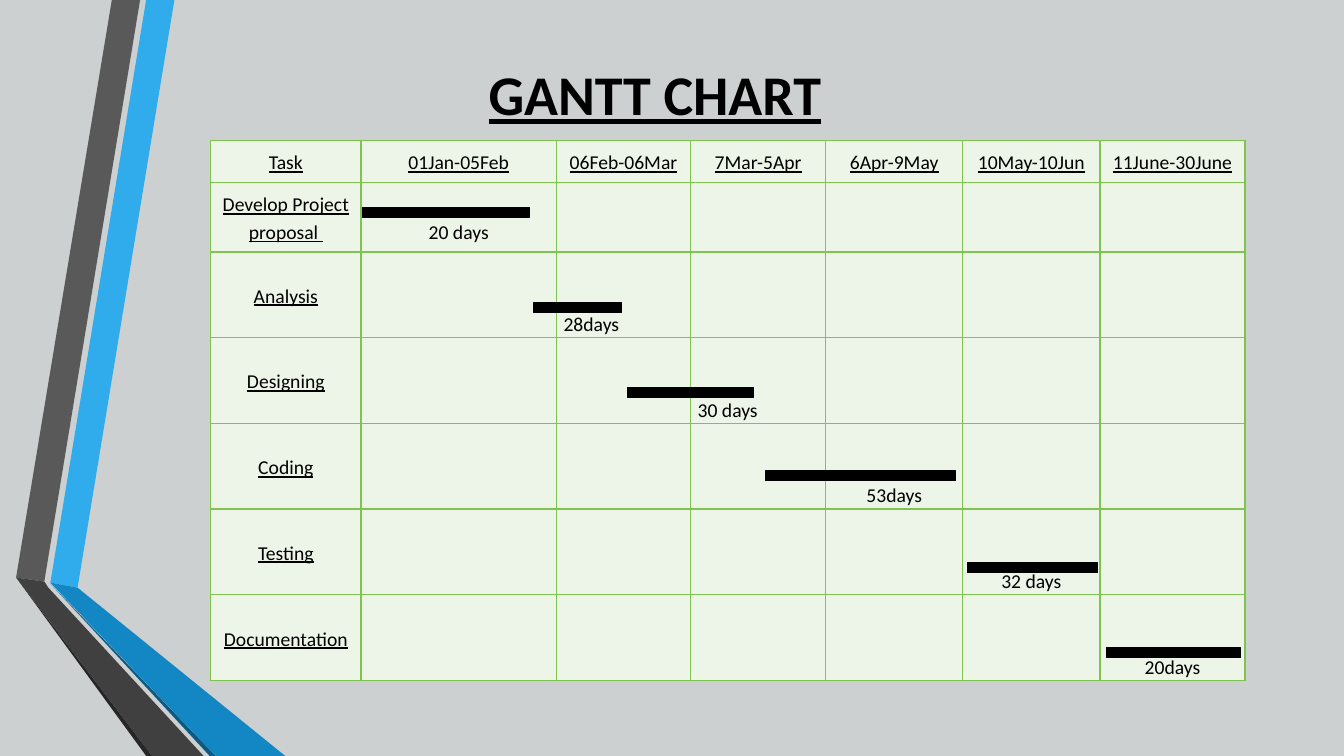
"""Build the Gantt chart slide with its project schedule."""
from dataclasses import dataclass

from lxml.etree import SubElement
from pptx import Presentation
from pptx.dml.color import RGBColor
from pptx.enum.text import MSO_ANCHOR, PP_ALIGN
from pptx.oxml.ns import qn
from pptx.slide import Slide
from pptx.table import _Cell
from pptx.util import Pt

PX = 9144
FONT = "Calibri"
BACKGROUND = RGBColor(0xCD, 0xD0, 0xD1)
BLACK = RGBColor(0x00, 0x00, 0x00)
CELL_GREEN = RGBColor(0xED, 0xF5, 0xE9)
GRID_GREEN = RGBColor(0x80, 0xC3, 0x4F)
SKY = RGBColor(0x30, 0xAC, 0xEC)
BLUE = RGBColor(0x12, 0x87, 0xC3)
NAVY = RGBColor(0x0C, 0x5A, 0x82)
GREY = RGBColor(0x59, 0x59, 0x59)
DARK_GREY = RGBColor(0x40, 0x40, 0x40)
CHARCOAL = RGBColor(0x26, 0x26, 0x26)


@dataclass(frozen=True)
class Ribbon:
    """A coloured outline at the left edge, in px."""
    color: RGBColor
    points: tuple[tuple[int, int], ...]


@dataclass(frozen=True)
class Task:
    """A schedule row: its duration label and its bar, in px."""
    name: str
    duration: str
    column: int
    bar_left: int
    bar_top: int
    bar_width: int
    align: PP_ALIGN = PP_ALIGN.CENTER
    label_gap: int = 1


RIBBONS = (
    Ribbon(SKY, ((50, 578), (77, 583), (173, 0), (145, 0))),
    Ribbon(GREY, ((139, 0), (111, 0), (16, 573), (44, 577))),
    Ribbon(CHARCOAL, ((16, 573), (145, 750), (151, 750))),
    Ribbon(NAVY, ((50, 579), (208, 750), (214, 750))),
    Ribbon(BLUE, ((50, 578), (214, 750), (283, 750), (77, 583))),
    Ribbon(DARK_GREY, ((202, 750), (48, 583), (44, 577), (16, 573), (151, 750))),
)
HEADINGS = ("Task", "01Jan-05Feb", "06Feb-06Mar", "7Mar-5Apr", "6Apr-9May",
            "10May-10Jun", "11June-30June")
TASKS = (
    Task("Develop Project proposal ", "20 days", 1, 360, 206, 165, label_gap=7),
    Task("Analysis", "28days", 2, 529, 300, 87, PP_ALIGN.LEFT),
    Task("Designing", "30 days", 3, 622, 384, 125, PP_ALIGN.LEFT),
    Task("Coding", "53days", 4, 759, 467, 189),
    Task("Testing", "32 days", 5, 960, 558, 129),
    Task("Documentation", "20days", 6, 1097, 642, 133),
)
COLUMN_WIDTHS = (149, 194, 133, 134, 136, 136, 144)
ROW_HEIGHTS = (42, 69) + (85,) * 5
BAR_HEIGHT = 10


def draw_ribbon(slide: Slide, ribbon: Ribbon) -> None:
    """Draw one ribbon segment."""
    start, *rest = ribbon.points
    outline = slide.shapes.build_freeform(*start, scale=PX)
    outline.add_line_segments(rest, close=True)
    segment = outline.convert_to_shape()
    segment.shadow.inherit = False
    segment.fill.solid()
    segment.fill.fore_color.rgb = ribbon.color
    segment.line.fill.background()


def style_cell(cell: _Cell) -> None:
    """Give a cell its grid lines, fill and margins."""
    properties = cell._tc.get_or_add_tcPr()
    for edge in ("a:lnL", "a:lnR", "a:lnT", "a:lnB"):
        border = SubElement(properties, qn(edge), w=str(Pt(1)))
        fill = SubElement(border, qn("a:solidFill"))
        SubElement(fill, qn("a:srgbClr"), val=str(GRID_GREEN))
    cell.fill.solid()
    cell.fill.fore_color.rgb = CELL_GREEN
    cell.margin_left = cell.margin_right = 7 * PX
    cell.margin_top = cell.margin_bottom = 0
    cell.vertical_anchor = MSO_ANCHOR.MIDDLE


def write_cell(cell: _Cell, text: str, underline: bool,
               align: PP_ALIGN = PP_ALIGN.CENTER) -> None:
    """Write one line of schedule text in a cell."""
    paragraph = cell.text_frame.paragraphs[0]
    paragraph.alignment = align
    paragraph.line_spacing = 1.15
    run = paragraph.add_run()
    run.text = text
    run.font.name = FONT
    run.font.size = Pt(14)
    run.font.underline = underline
    run.font.color.rgb = BLACK


def add_schedule(slide: Slide) -> None:
    """Add the table of tasks and periods."""
    schedule = slide.shapes.add_table(
        len(ROW_HEIGHTS), len(COLUMN_WIDTHS), 209 * PX, 139 * PX,
        sum(COLUMN_WIDTHS) * PX, sum(ROW_HEIGHTS) * PX).table
    schedule.first_row = schedule.horz_banding = False
    for column, width in zip(schedule.columns, COLUMN_WIDTHS):
        column.width = width * PX
    for row, height in zip(schedule.rows, ROW_HEIGHTS):
        row.height = height * PX
    for cell in schedule.iter_cells():
        style_cell(cell)
    for index, heading in enumerate(HEADINGS):
        write_cell(schedule.cell(0, index), heading, True)
    for index, task in enumerate(TASKS, start=1):
        write_cell(schedule.cell(index, 0), task.name, True)
        duration = schedule.cell(index, task.column)
        duration.vertical_anchor = MSO_ANCHOR.BOTTOM
        duration.margin_bottom = task.label_gap * PX
        write_cell(duration, task.duration, False, task.align)


def draw_bar(slide: Slide, task: Task) -> None:
    """Draw the bar that spans a task's days."""
    bar = slide.shapes.add_shape(
        1, task.bar_left * PX, task.bar_top * PX,
        task.bar_width * PX, BAR_HEIGHT * PX)
    bar.shadow.inherit = False
    bar.fill.solid()
    bar.fill.fore_color.rgb = BLACK
    bar.line.color.rgb = BLACK
    bar.line.width = Pt(0.75)


def write_title(slide: Slide) -> None:
    """Place and fill the title placeholder."""
    title = slide.shapes.title
    title.left, title.top = 132 * PX, 54 * PX
    title.width, title.height = 1035 * PX, 77 * PX
    title.text_frame.vertical_anchor = MSO_ANCHOR.MIDDLE
    paragraph = title.text_frame.paragraphs[0]
    paragraph.alignment = PP_ALIGN.CENTER
    run = paragraph.add_run()
    run.text = "GANTT CHART"
    run.font.name = FONT
    run.font.size = Pt(40)
    run.font.bold = run.font.underline = True
    run.font.color.rgb = BLACK


def main() -> None:
    """Compose the slide and save it."""
    presentation = Presentation()
    presentation.slide_width = 1333 * PX
    presentation.slide_height = 750 * PX
    slide = presentation.slides.add_slide(presentation.slide_layouts[5])
    slide.background.fill.solid()
    slide.background.fill.fore_color.rgb = BACKGROUND
    write_title(slide)
    for ribbon in RIBBONS:
        draw_ribbon(slide, ribbon)
    add_schedule(slide)
    for task in TASKS:
        draw_bar(slide, task)
    presentation.save("out.pptx")


if __name__ == "__main__":
    main()
